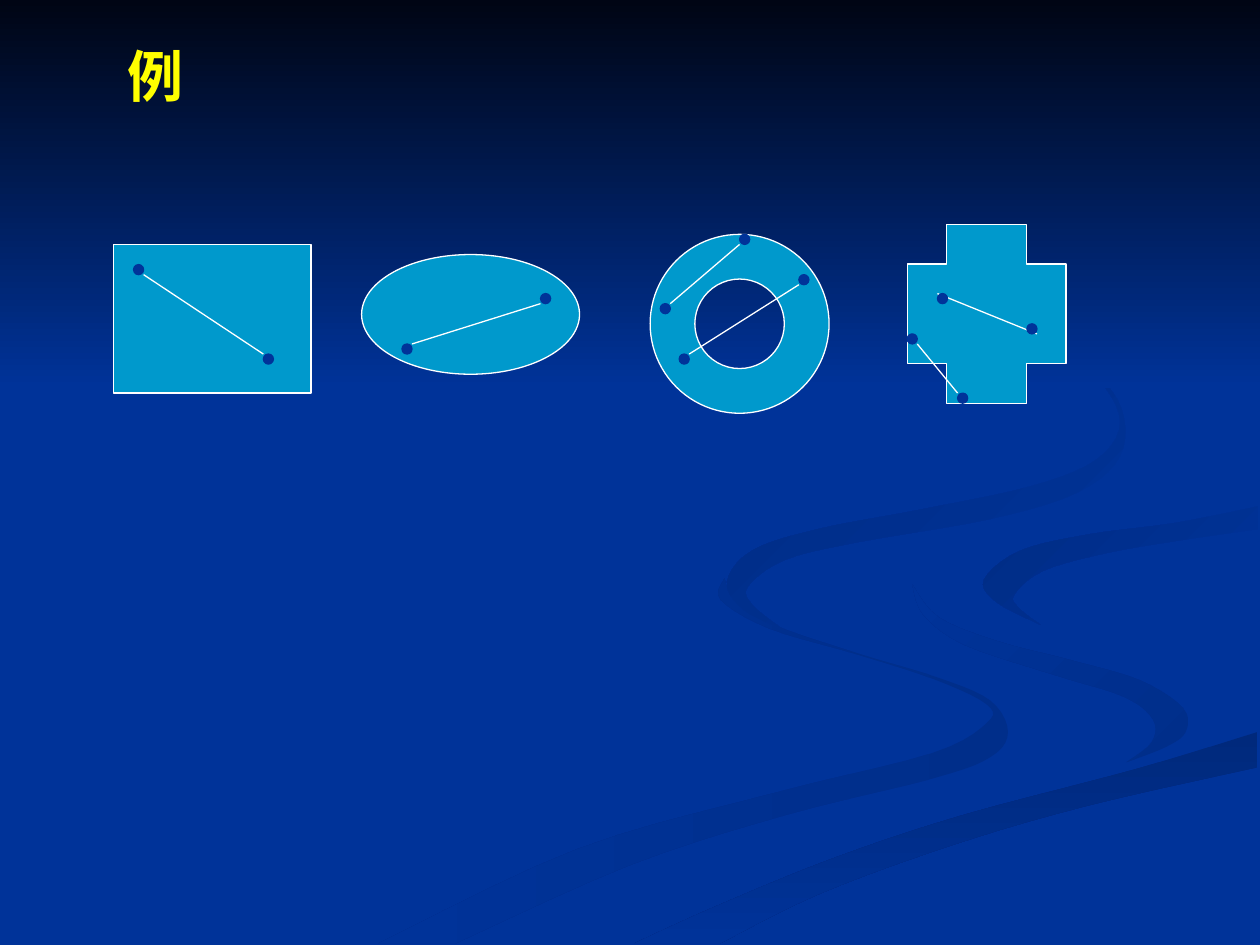
from typing import NamedTuple

from lxml import etree
from pptx import Presentation, util as u
from pptx.dml.color import RGBColor
from pptx.enum import shapes, text
from pptx.oxml.ns import qn

BLUE, CYAN, WHITE, YELLOW, NIGHT = "003399", "0099CC", "FFFFFF", "FFFF00", "000514"
WIDTH, HEIGHT = 10, 7.5
SHADE_HEIGHT = 3.08
DOT = 0.08
CURVE_STEPS = 5


class Ribbon(NamedTuple):
    """A band between two smooth edges that run the same way."""
    first_edge: list
    second_edge: list
    first_color: str
    last_color: str
    angle: int  # clockwise


class Segment(NamedTuple):
    """Two dots, given by their top left corners, left one first."""
    left_dot: tuple
    right_dot: tuple
    spans_dots: bool = False  # the line runs across the dots, not just between them


class Region(NamedTuple):
    kind: shapes.MSO_SHAPE
    box: tuple  # left, top, width, height
    segments: list


RIBBONS = {
    "long": Ribbon(
        [(5.75, 4.59), (5.72, 4.76), (6.11, 4.99), (6.79, 5.19), (7.41, 5.39), (7.83, 5.59),
         (7.83, 5.74), (7.39, 5.98), (6.16, 6.29), (4.58, 6.74), (3, 7.49)],
        [(5.75, 4.59), (5.83, 4.77), (6.14, 4.96), (6.82, 5.19), (7.45, 5.38), (7.86, 5.56),
         (8, 5.81), (7.86, 6.01), (7.4, 6.18), (6.23, 6.47), (4.99, 6.87), (3.61, 7.49)],
        "002E8A", BLUE, 180),
    "middle": Ribbon(
        [(7.24, 4.64), (7.45, 4.9), (7.92, 5.09), (8.5, 5.24), (9.05, 5.4), (9.39, 5.62),
         (9.41, 5.81), (9.25, 5.93), (8.94, 6.05)],
        [(7.24, 4.64), (7.33, 4.88), (7.66, 5.12), (8.38, 5.36), (8.92, 5.53), (9.15, 5.71),
         (9.14, 5.89), (8.94, 6.05)],
        "002E8A", BLUE, 225),
    "bottom": Ribbon(
        [(5.03, 7.49), (5.69, 7.19), (6.62, 6.81), (7.64, 6.47), (9.03, 6.1), (9.98, 5.81)],
        [(5.71, 7.49), (6.49, 7.1), (7.52, 6.72), (8.61, 6.4), (9.98, 6.09)],
        "00297C", BLUE, 90),
    "right": Ribbon(
        [(9.98, 4.02), (9.33, 4.15), (8.65, 4.24), (8.1, 4.37), (7.81, 4.6), (7.91, 4.78),
         (8.26, 4.96)],
        [(9.98, 4.2), (9.36, 4.29), (8.78, 4.39), (8.28, 4.53), (8.05, 4.72), (8.09, 4.83),
         (8.26, 4.96)],
        BLUE, "002C85", 225),
    "top": Ribbon(
        [(7.62, 2.33), (8.21, 2.61), (8.64, 2.91), (8.9, 3.24), (8.89, 3.62), (8.55, 3.91),
         (7.86, 4.12), (6.83, 4.3), (6.24, 4.44), (5.94, 4.65), (5.97, 4.8), (6.22, 5)],
        [(7.62, 2.33), (8.26, 2.66), (8.7, 2.99), (8.89, 3.35), (8.7, 3.65), (8.18, 3.86),
         (7.33, 4.04), (6.49, 4.2), (5.97, 4.37), (5.77, 4.62), (5.9, 4.84), (6.22, 5)],
        BLUE, "002B81", 225),
}

KIND = shapes.MSO_SHAPE
REGIONS = {
    "rectangle": Region(KIND.RECTANGLE, (0.9, 1.94, 1.57, 1.18), [
        Segment((1.06, 2.1), (2.09, 2.81))]),
    "ellipse": Region(KIND.OVAL, (2.87, 2.02, 1.73, 0.95), [
        Segment((3.19, 2.73), (4.29, 2.33))]),
    "ring": Region(KIND.DONUT, (5.16, 1.86, 1.42, 1.42), [
        Segment((5.39, 2.81), (6.34, 2.18)),
        Segment((5.24, 2.41), (5.87, 1.86))]),
    "cross": Region(KIND.CROSS, (7.2, 1.78, 1.26, 1.42), [
        Segment((7.2, 2.65), (7.6, 3.12)),
        Segment((7.44, 2.33), (8.15, 2.57), spans_dots=True)]),
}


def color(value):
    return RGBColor.from_string(value)


def smooth(knots):
    """Return points on a Catmull-Rom curve through the knots."""
    padded = [knots[0], *knots, knots[-1]]
    points = []
    for before, start, end, after in zip(padded, padded[1:], padded[2:], padded[3:]):
        for step in range(CURVE_STEPS):
            t = step / CURVE_STEPS
            points.append(tuple(
                b + ((c - a) * t + (2 * a - 5 * b + 4 * c - d) * t ** 2
                     + (3 * b - a - 3 * c + d) * t ** 3) / 2
                for a, b, c, d in zip(before, start, end, after)))
    return points + [knots[-1]]


def line_ends(segment):
    """Join the facing corners of the two dots, or their far corners."""
    (left, left_top), (right, right_top) = segment.left_dot, segment.right_dot
    falling = right_top > left_top
    start_offset = (DOT, DOT if falling else 0)
    end_offset = (0, 0 if falling else DOT)
    if segment.spans_dots:
        start_offset, end_offset = end_offset, start_offset
    return ((left + start_offset[0], left_top + start_offset[1]),
            (right + end_offset[0], right_top + end_offset[1]))


class SlideBuilder:
    font_name = "Times New Roman"
    title_size = u.Pt(32)
    line_width = u.Pt(0.75)

    def __init__(self, slide):
        self.slide = slide

    def background(self, fill):
        self.slide.background.fill.solid()
        self.slide.background.fill.fore_color.rgb = color(fill)

    def title(self, words, left, top, width, height):
        title = self.slide.shapes.title
        title.left, title.top = u.Inches(left), u.Inches(top)
        title.width, title.height = u.Inches(width), u.Inches(height)
        frame = title.text_frame
        frame.text = words
        frame.vertical_anchor = text.MSO_ANCHOR.MIDDLE
        frame.auto_size = text.MSO_AUTO_SIZE.NONE
        paragraph = frame.paragraphs[0]
        paragraph.alignment = text.PP_ALIGN.LEFT
        paragraph.font.name = self.font_name
        paragraph.font.size = self.title_size
        paragraph.font.bold = True
        paragraph.font.color.rgb = color(YELLOW)
        # Raise the title above the backdrop
        self.slide.shapes._spTree.append(title._element)

    def gradient_outline(self, points, first, last, angle):
        corners = [(u.Inches(x), u.Inches(y)) for x, y in points]
        outline = self.slide.shapes.build_freeform(*corners[0])
        outline.add_line_segments(corners[1:], close=True)
        shape = outline.convert_to_shape()
        shape.shadow.inherit = False
        shape.line.fill.background()
        shape.fill.gradient()
        shape.fill.gradient_angle = 360 - angle
        for stop, position, value in zip(shape.fill.gradient_stops, (0, 1), (first, last)):
            stop.position = position
            stop.color.rgb = color(value)

    def shape(self, kind, box, fill, line):
        shape = self.slide.shapes.add_shape(kind, *map(u.Inches, box))
        shape.shadow.inherit = False
        shape.fill.solid()
        shape.fill.fore_color.rgb = color(fill)
        shape.line.color.rgb = color(line)
        shape.line.width = self.line_width

    def line(self, start, end):
        connector = self.slide.shapes.add_connector(
            shapes.MSO_CONNECTOR.STRAIGHT, *map(u.Inches, start + end))
        connector.line.color.rgb = color(WHITE)
        connector.line.width = self.line_width
        etree.SubElement(connector._element.spPr, qn("a:effectLst"))


def main():
    presentation = Presentation()
    presentation.slide_width, presentation.slide_height = u.Inches(WIDTH), u.Inches(HEIGHT)
    builder = SlideBuilder(presentation.slides.add_slide(presentation.slide_layouts[5]))

    # Backdrop: ribbons, then the dark shade along the top
    builder.background(BLUE)
    for ribbon in RIBBONS.values():
        points = smooth(ribbon.first_edge) + smooth(ribbon.second_edge)[::-1]
        builder.gradient_outline(points, ribbon.first_color, ribbon.last_color, ribbon.angle)
    shade = [(0, 0), (0, SHADE_HEIGHT), (WIDTH, SHADE_HEIGHT), (WIDTH, 0)]
    builder.gradient_outline(shade, NIGHT, BLUE, 90)

    builder.title("例", 0.91, 0.28, 8.66, 0.64)

    # Regions, each with its segments and their end dots
    for region in REGIONS.values():
        builder.shape(region.kind, region.box, CYAN, WHITE)
        for segment in region.segments:
            builder.line(*line_ends(segment))
            for corner in (segment.left_dot, segment.right_dot):
                builder.shape(KIND.OVAL, (*corner, DOT, DOT), BLUE, BLUE)

    presentation.save("out.pptx")


if __name__ == "__main__":
    main()
